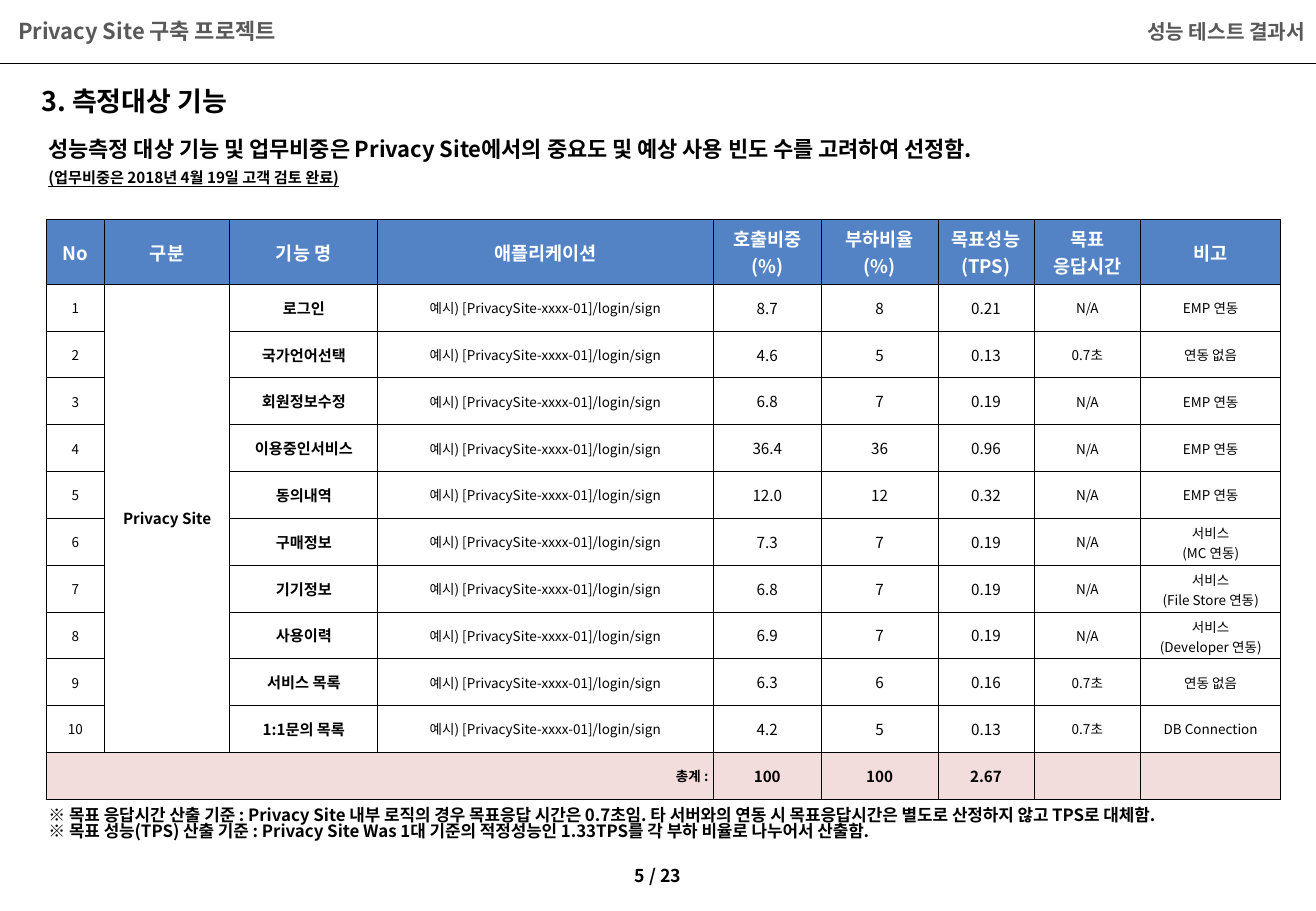
from lxml.etree import SubElement as Sub
from pptx import Presentation
from pptx.dml.color import RGBColor as RGB
from pptx.enum.shapes import MSO_CONNECTOR as LINE
from pptx.enum.text import MSO_ANCHOR as ANC, MSO_AUTO_SIZE as AUTO, PP_ALIGN as AL
from pptx.oxml import parse_xml
from pptx.oxml.ns import nsdecls, qn
from pptx.util import Inches, Pt

FACE = "Noto Sans CJK KR"
BLACK = RGB(0x00, 0x00, 0x00)
WHITE = RGB(0xFF, 0xFF, 0xFF)
GRAY = RGB(0x59, 0x59, 0x59)
BLUE = RGB(0x53, 0x83, 0xC5)
PINK = RGB(0xF2, 0xDD, 0xDC)
TIGHT = 0.83

COLS = [0.48, 1.03, 1.22, 2.76, 0.89, 0.96, 0.79, 0.88, 1.15]
SIZES = [8, 9, 9, 8, 9, 9, 9, 8, 8]
HEADS = ["No", "구분", "기능 명", "애플리케이션", "호출비중\n(%)", "부하비율\n(%)",
         "목표성능\n(TPS)", "목표\n응답시간", "비고"]
SITE = "Privacy Site"
APP = "예시) [PrivacySite-xxxx-01]/login/sign"
ITEMS = [
    ("로그인", "8.7", "8", "0.21", "N/A", "EMP 연동"),
    ("국가언어선택", "4.6", "5", "0.13", "0.7초", "연동 없음"),
    ("회원정보수정", "6.8", "7", "0.19", "N/A", "EMP 연동"),
    ("이용중인서비스", "36.4", "36", "0.96", "N/A", "EMP 연동"),
    ("동의내역", "12.0", "12", "0.32", "N/A", "EMP 연동"),
    ("구매정보", "7.3", "7", "0.19", "N/A", "서비스\n(MC 연동)"),
    ("기기정보", "6.8", "7", "0.19", "N/A", "서비스\n(File Store 연동)"),
    ("사용이력", "6.9", "7", "0.19", "N/A", "서비스\n(Developer 연동)"),
    ("서비스 목록", "6.3", "6", "0.16", "0.7초", "연동 없음"),
    ("1:1문의 목록", "4.2", "5", "0.13", "0.7초", "DB Connection"),
]
TOTAL = ["총계 :", "", "", "", "100", "100", "2.67", "", ""]


class Page:
    """Holds the text style and the current slide, and adds elements to it."""

    def __init__(self, deck):
        self.slide = deck.slides.add_slide(deck.slide_layouts[5])
        self.shapes = self.slide.shapes

    def style(self, par, size, color=BLACK, bold=True, align=AL.LEFT, space=1.0):
        par.alignment = align
        par.line_spacing = space
        font = par.font
        font.size, font.bold, font.name = Pt(size), bold, FACE
        font.color.rgb = color
        Sub(par._p.pPr.find(qn("a:defRPr")), qn("a:ea"), typeface=FACE)

    def title(self, text, at):
        box = self.shapes.title
        box.left, box.top, box.width, box.height = map(Inches, at)
        frame = box.text_frame
        frame.text = text
        frame.word_wrap = False
        frame.auto_size = AUTO.NONE
        frame.vertical_anchor = ANC.TOP
        self.style(frame.paragraphs[0], 16, space=TIGHT)

    def text(self, lines, at, sizes, anchor=ANC.TOP, **look):
        frame = self.shapes.add_textbox(*map(Inches, at)).text_frame
        frame.word_wrap = True
        frame.vertical_anchor = anchor
        frame.text = "\n".join(lines)
        for par, size in zip(frame.paragraphs, sizes):
            self.style(par, size, **look)
        return frame.paragraphs

    def rule(self, y, width):
        line = self.shapes.add_connector(
            LINE.STRAIGHT, 0, Inches(y), Inches(width), Inches(y))
        line.line.color.rgb = BLACK
        line.line.width = Pt(0.75)
        Sub(line._element.spPr, qn("a:effectLst"))

    def cell(self, cell, text, size, fill=None, pad=0.04, **look):
        cell.text = text
        cell.vertical_anchor = ANC.MIDDLE
        cell.margin_left = cell.margin_right = Inches(pad)
        cell.margin_top = cell.margin_bottom = Inches(pad)
        for par in cell.text_frame.paragraphs:
            self.style(par, size, **look)
        if fill is None:
            cell.fill.background()
        else:
            cell.fill.solid()
            cell.fill.fore_color.rgb = fill
        for spot, side in enumerate("LRTB"):
            cell._tc.tcPr.insert(spot, parse_xml(
                f'<a:ln{side} {nsdecls("a")} w="{Pt(0.5)}"><a:solidFill>'
                f'<a:srgbClr val="{BLACK}"/></a:solidFill></a:ln{side}>'))

    def table(self, at, head):
        last = len(ITEMS) + 1
        grid = self.shapes.add_table(last + 1, len(COLS), *map(Inches, at)).table
        for col, width in zip(grid.columns, COLS):
            col.width = Inches(width)
        for num, row in enumerate(grid.rows):
            row.height = Inches((at[3] - head) / last if num else head)
        for col, size in enumerate(SIZES):
            self.cell(grid.cell(0, col), HEADS[col], 11, BLUE,
                      color=WHITE, align=AL.CENTER)
            for num, (name, *rest) in enumerate(ITEMS, 1):
                vals = [str(num), SITE if num == 1 else "", name, APP, *rest]
                self.cell(grid.cell(num, col), vals[col], size,
                          pad=0.01 if 2 <= col <= 7 else 0.04,
                          bold=col in (1, 2), align=AL.CENTER)
            self.cell(grid.cell(last, col), TOTAL[col], size if col else 8, PINK,
                      align=AL.CENTER if col else AL.RIGHT)
        grid.cell(1, 1).merge(grid.cell(last - 1, 1))
        grid.cell(last, 0).merge(grid.cell(last, 3))


def main():
    deck = Presentation()
    deck.slide_width, deck.slide_height = Inches(10.83), Inches(7.5)
    page = Page(deck)
    page.rule(0.52, 10.83)
    page.text(["Privacy Site 구축 프로젝트"], (0.05, 0.06, 10.39, 0.39), [13],
              ANC.MIDDLE, color=GRAY)
    page.text(["성능 테스트 결과서"], (8.8, 0.08, 2.04, 0.39), [12],
              ANC.MIDDLE, color=GRAY, align=AL.RIGHT, space=TIGHT)
    page.title("3. 측정대상 기능", (0.24, 0.69, 1.9, 0.37))
    lead, note = page.text(
        ["성능측정 대상 기능 및 업무비중은 Privacy Site에서의 중요도 및 예상 사용 빈도 수를 고려하여 선정함.",
         "(업무비중은 2018년 4월 19일 고객 검토 완료)"],
        (0.3, 1.1, 10.24, 0.56), [13, 9], space=TIGHT)
    note.space_before = Pt(6)
    note.font.underline = True
    page.table((0.38, 1.81, 10.16, 4.77), 0.53)
    page.text(
        ["※ 목표 응답시간 산출 기준 : Privacy Site 내부 로직의 경우 목표응답 시간은 0.7초임. "
         "타 서버와의 연동 시 목표응답시간은 별도로 산정하지 않고 TPS로 대체함.",
         "※ 목표 성능(TPS) 산출 기준 : Privacy Site Was 1대 기준의 적정성능인 1.33TPS를 "
         "각 부하 비율로 나누어서 산출함."],
        (0.3, 6.6, 10.16, 0.44), [10, 10], space=TIGHT)
    page.text(["5 / 23"], (4.98, 7.1, 0.87, 0.29), [10.5],
              align=AL.CENTER, space=TIGHT)
    deck.save("out.pptx")


if __name__ == "__main__":
    main()
